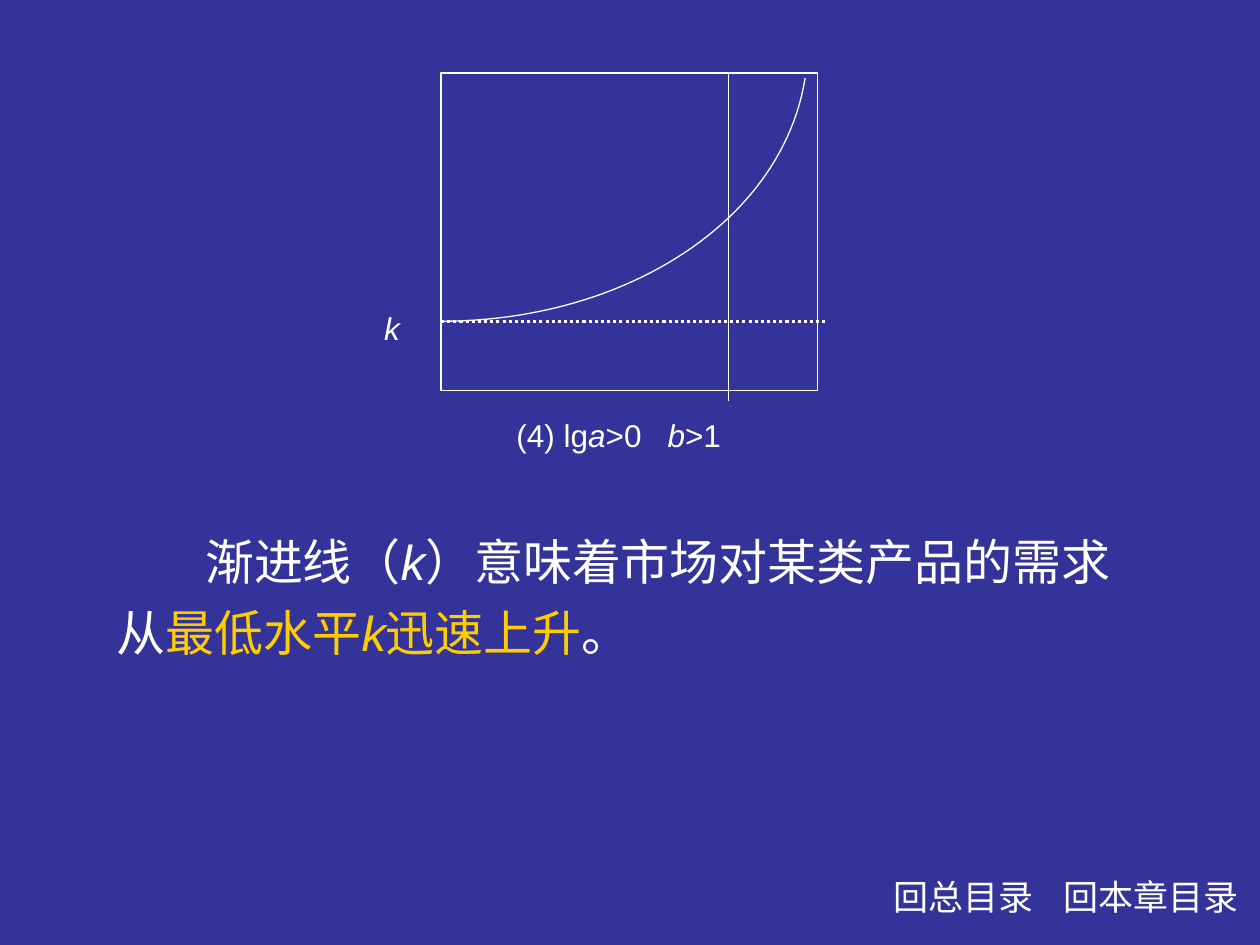
import pptx
import pptx.dml.color
import pptx.enum.dml
import pptx.enum.shapes
import pptx.enum.text
import pptx.oxml.ns
import pptx.util
from dataclasses import dataclass
from lxml import etree

Inches = pptx.util.Inches
Pt = pptx.util.Pt
ALIGN = pptx.enum.text.PP_ALIGN


@dataclass(frozen=True)
class Theme:
    background: str = "333399"
    ink: str = "FFFFFF"
    accent: str = "FFCC00"
    label: int = 18
    body: int = 28
    link: int = 20
    font: str = "Arial"
    link_font: str = "Times New Roman"
    thin: float = 0.75
    thick: float = 1.75


def rgb(value):
    return pptx.dml.color.RGBColor.from_string(value)


def sub(parent, tag, **attrs):
    return etree.SubElement(parent, pptx.oxml.ns.qn(tag), **attrs)


class Deck:
    def __init__(self, theme):
        self.theme = theme
        self.prs = pptx.Presentation()
        self.prs.slide_width, self.prs.slide_height = Inches(10), Inches(7.5)
        self.s = self.prs.slides.add_slide(self.prs.slide_layouts[6])
        fill = self.s.background.fill
        fill.solid()
        fill.fore_color.rgb = rgb(theme.background)

    def outline(self, sp):
        sp.shadow.inherit = False
        sp.fill.background()
        sp.line.color.rgb = rgb(self.theme.ink)
        sp.line.width = Pt(self.theme.thin)

    def frame(self, x, y, w, h):
        kind = pptx.enum.shapes.MSO_SHAPE.RECTANGLE
        self.outline(self.s.shapes.add_shape(
            kind, Inches(x), Inches(y), Inches(w), Inches(h)))

    def line(self, x1, y1, x2, y2, width, dash=None):
        kind = pptx.enum.shapes.MSO_CONNECTOR.STRAIGHT
        sp = self.s.shapes.add_connector(
            kind, Inches(x1), Inches(y1), Inches(x2), Inches(y2))
        sp.line.color.rgb = rgb(self.theme.ink)
        sp.line.width = Pt(width)
        if dash:
            sp.line.dash_style = dash
        sub(sp._element.spPr, "a:effectLst")

    def curve(self, p0, p1, p2, p3, steps=48):
        def point(t):
            u = 1 - t
            return tuple(Inches(u**3 * a + 3 * u * u * t * b + 3 * u * t * t * c + t**3 * d)
                         for a, b, c, d in zip(p0, p1, p2, p3))

        points = [point(i / steps) for i in range(steps + 1)]
        builder = self.s.shapes.build_freeform(*points[0], scale=1.0)
        builder.add_line_segments(points[1:], close=False)
        self.outline(builder.convert_to_shape())

    def text(self, x, y, w, h, paragraphs, size, font=None, inset=0.1,
             align=ALIGN.LEFT, spacing=None, before=0, indent=0, tab=None):
        sp = self.s.shapes.add_textbox(Inches(x), Inches(y), Inches(w), Inches(h))
        tf = sp.text_frame
        tf.word_wrap = True
        tf.auto_size = pptx.enum.text.MSO_AUTO_SIZE.SHAPE_TO_FIT_TEXT
        tf.margin_left = tf.margin_right = Inches(inset)
        for i, runs in enumerate(paragraphs):
            p = tf.add_paragraph() if i else tf.paragraphs[0]
            p.alignment = align
            if spacing:
                p.line_spacing = spacing
            if i:
                p.space_before = Pt(before)
            elif indent:
                p._p.get_or_add_pPr().set("indent", str(Inches(indent)))
            if tab:
                tabs = sub(p._p.get_or_add_pPr(), "a:tabLst")
                sub(tabs, "a:tab", pos=str(Inches(tab)), algn="l")
            for words, italic, color in runs:
                r = p.add_run()
                r.text = words
                r.font.name = font or self.theme.font
                r.font.size = Pt(size)
                r.font.italic = italic
                r.font.color.rgb = rgb(color)


def main():
    theme = Theme()
    ink, accent = theme.ink, theme.accent
    deck = Deck(theme)

    left, top, width, height = 3.5, 0.58, 2.99, 2.52
    asymptote, marker = 2.55, 5.78
    deck.frame(left, top, width, height)
    deck.line(left, asymptote, 6.57, asymptote, theme.thick,
              pptx.enum.dml.MSO_LINE.ROUND_DOT)
    deck.line(marker, top, marker, 3.18, theme.thin)
    deck.curve((left, asymptote), (4.97, asymptote), (6.21, 1.75), (6.39, 0.62))

    caption = [("(4) lg", False, ink), ("a", True, ink), (">0\t", False, ink),
               ("b", True, ink), (">1", False, ink)]
    deck.text(4, 3.25, 2.2, 0.4, [caption], theme.label, tab=1.2)
    deck.text(2.95, 2.4, 0.31, 0.4, [[("k", True, ink)]], theme.label)

    explanation = [
        [("渐进线（", False, ink), ("k", True, ink),
         ("）意味着市场对某类产品的需求", False, ink)],
        [("从", False, ink), ("最低水平", False, accent), ("k", True, accent),
         ("迅速上升", False, accent), ("。", False, ink)],
    ]
    deck.text(0.83, 4.17, 8.33, 1.13, explanation, theme.body, before=7, indent=0.7)

    for x, w, label, align in ((6.94, 1.42, "回总目录", ALIGN.CENTER),
                               (8.44, 1.46, "回本章目录", ALIGN.LEFT)):
        deck.text(x, 6.94, w, 0.4, [[(label, False, ink)]], theme.link,
                  theme.link_font, inset=0, align=align, spacing=0.9)

    deck.prs.save("out.pptx")


if __name__ == "__main__":
    main()
